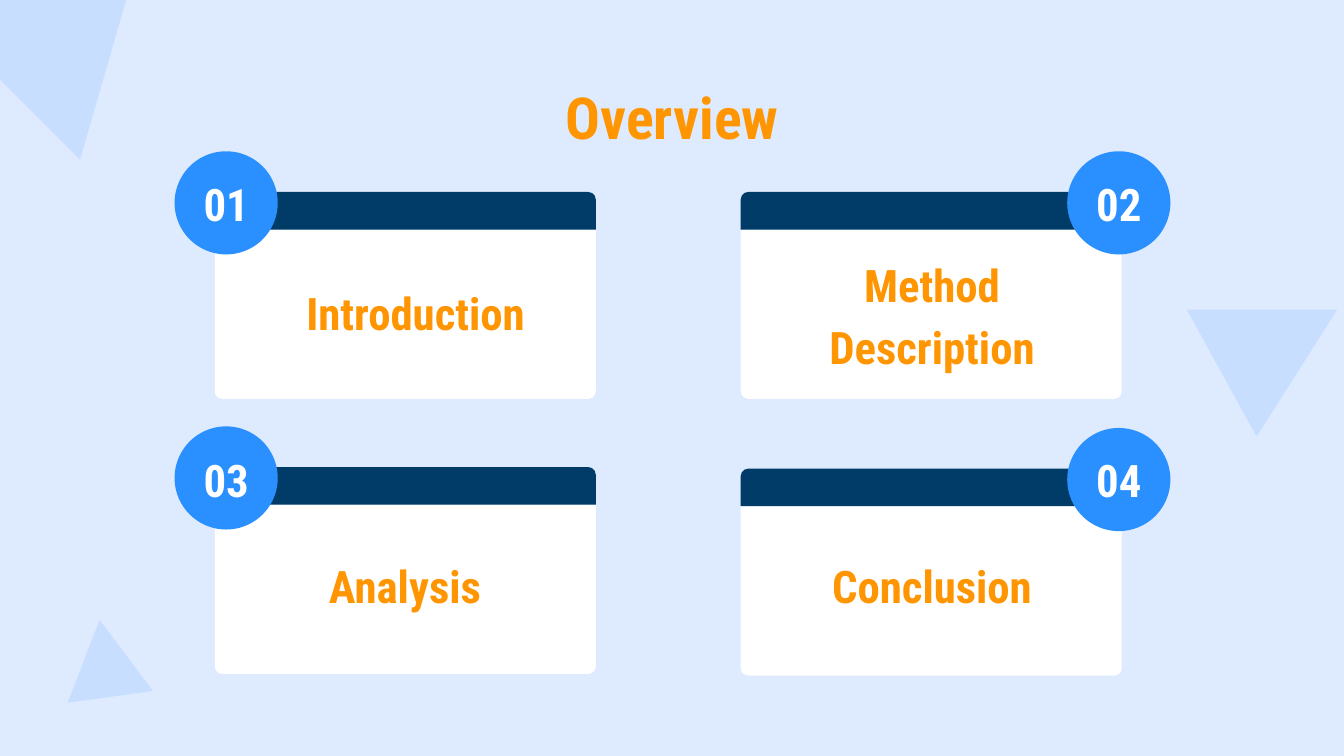
import pptx
import pptx.util
import pptx.dml.color
import pptx.enum.shapes
import pptx.enum.text
from dataclasses import dataclass

Cm = pptx.util.Cm
Kind = pptx.enum.shapes.MSO_SHAPE
Anchor = pptx.enum.text.MSO_ANCHOR


@dataclass(frozen=True)
class Theme:
    back: str = "DEEBFF"
    tint: str = "C8DEFF"
    card: str = "FFFFFF"
    band: str = "003C67"
    badge: str = "2A90FF"
    accent: str = "FF9500"
    light: str = "FFFFFF"
    font: str = "Roboto Condensed"
    head: int = 31
    body: int = 24


class Deck:
    def __init__(self, theme):
        self.theme = theme
        self.file = pptx.Presentation()
        self.file.slide_width = Cm(25.4)
        self.file.slide_height = Cm(14.29)
        self.slide = self.file.slides.add_slide(self.file.slide_layouts[6])
        self.paint(self.slide.background.fill, theme.back)

    def paint(self, fill, color):
        fill.solid()
        fill.fore_color.rgb = pptx.dml.color.RGBColor.from_string(color)

    def shape(self, kind, box, color, turn=0, round_by=()):
        item = self.slide.shapes.add_shape(kind, *map(Cm, box))
        item.shadow.inherit = False
        item.line.fill.background()
        item.rotation = turn
        for i, value in enumerate(round_by):
            item.adjustments[i] = value
        self.paint(item.fill, color)

    def text(self, words, box, size, color, anchor=Anchor.TOP, space=1, after=0):
        frame = self.slide.shapes.add_textbox(*map(Cm, box)).text_frame
        frame.word_wrap = True
        frame.vertical_anchor = anchor
        frame.margin_left = frame.margin_right = Cm(0.25)
        frame.margin_top = frame.margin_bottom = Cm(0.25)
        para = frame.paragraphs[0]
        para.alignment = pptx.enum.text.PP_ALIGN.CENTER
        para.line_spacing = space
        para.space_after = pptx.util.Pt(after)
        run = para.add_run()
        run.text = words
        run.font.name = self.theme.font
        run.font.size = pptx.util.Pt(size)
        run.font.bold = True
        self.paint(run.font.fill, color)

    def card(self, left, top):
        wide, band, body, curve = 7.2, 0.71, 3.2, 0.14
        kind = Kind.ROUND_2_SAME_RECTANGLE
        self.shape(kind, (left, top + band, wide, body), self.theme.card,
                   round_by=(0, curve / body))
        self.shape(kind, (left, top, wide, band), self.theme.band,
                   round_by=(curve / band, 0))

    def badge(self, number, left, top, text_top):
        size, wide, high = 1.95, 1.7, 1.68
        self.shape(Kind.OVAL, (left, top, size, size), self.theme.badge)
        self.text(number, (left + (size - wide) / 2, text_top, wide, high),
                  self.theme.body, self.theme.light, Anchor.MIDDLE)

    def label(self, words, left, top):
        self.text(words, (left, top, 6.27, 1.96), self.theme.body,
                  self.theme.accent, space=1.15, after=12)


def main():
    theme = Theme()
    deck = Deck(theme)

    # Background triangles
    for box, turn in (((22.81, 5.21, 2.74, 2.49), 61.2),
                      ((-1.24, -2.79, 5.16, 4.67), 45),
                      ((1.17, 11.71, 1.63, 1.47), 352.2)):
        deck.shape(Kind.ISOSCELES_TRIANGLE, box, theme.tint, turn)

    # Title
    deck.text("Overview", (1.98, 1.3, 21.44, 1.78), theme.head, theme.accent)

    # Numbered cards: column, card top, number top, label place
    columns = ((4.06, 3.3), (14.0, 20.17))
    topics = (("Introduction", 0, 3.63, 3.0, 4.72, 5.0),
              ("Method Description", 1, 3.63, 3.0, 14.48, 4.47),
              ("Analysis", 0, 8.83, 8.23, 4.52, 10.16),
              ("Conclusion", 1, 8.86, 8.23, 14.48, 10.16))
    for count, (words, col, top, num_top, left, text_top) in enumerate(topics, 1):
        card_left, badge_left = columns[col]
        deck.card(card_left, top)
        deck.badge(f"{count:02}", badge_left, top - 0.77, num_top)
        deck.label(words, left, text_top)

    deck.file.save("out.pptx")


if __name__ == "__main__":
    main()
